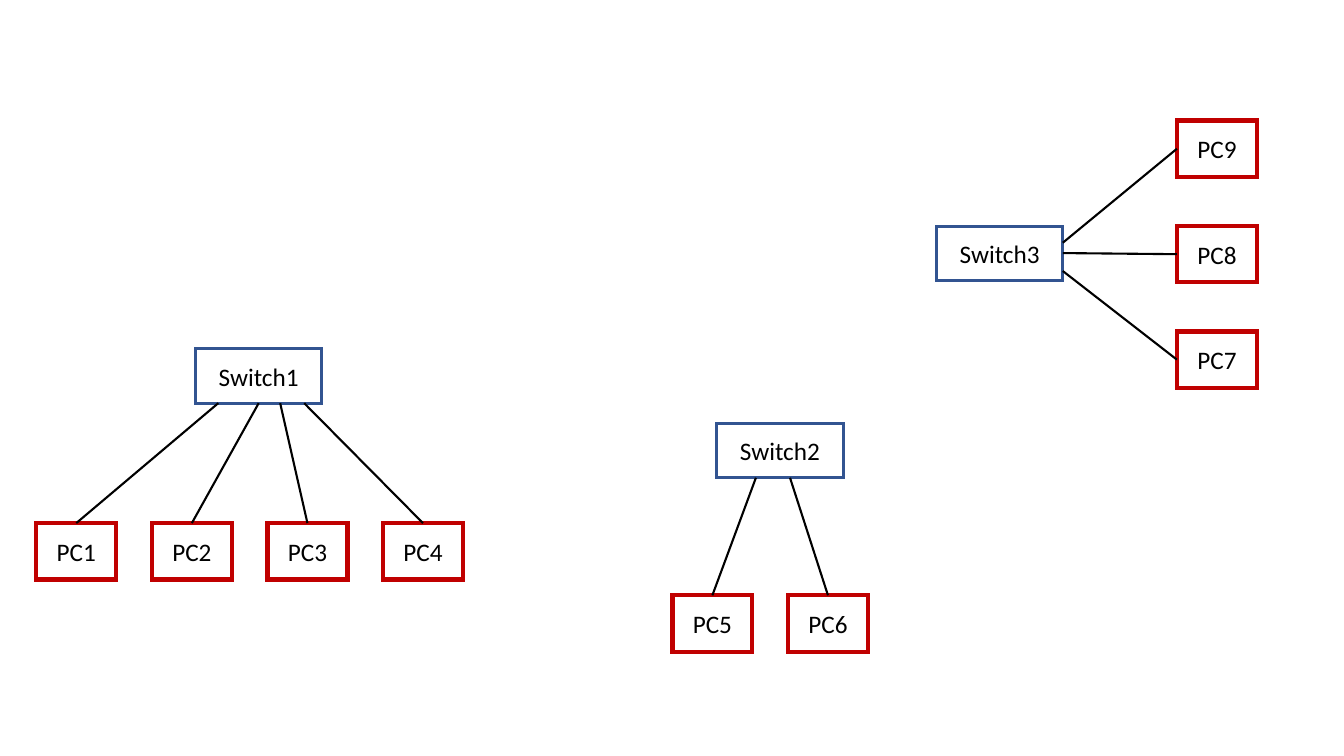
from dataclasses import dataclass

from lxml.etree import SubElement
from pptx import Presentation
from pptx.dml.color import RGBColor as Rgb
from pptx.enum.shapes import MSO_CONNECTOR as Line, MSO_SHAPE as Shape
from pptx.enum.text import MSO_ANCHOR as Anchor, PP_ALIGN as Align
from pptx.oxml.ns import qn
from pptx.util import Inches, Pt

WIDE, HIGH = Inches(13.33), Inches(7.5)


@dataclass(frozen=True)
class Theme:
    font: str = "Calibri"
    size: int = 18
    ink: str = "000000"
    paper: str = "FFFFFF"
    switch: str = "325491"
    host: str = "C00000"
    switch_line: float = 2.25
    host_line: float = 3
    link_line: float = 1.5


@dataclass(frozen=True)
class Group:
    """A switch and its PCs; ports are shares along the switch's edge."""
    name: str
    spot: tuple
    first: int
    start: tuple
    step: tuple
    ports: tuple
    side: bool = False


LOOK = Theme()

# Places and sizes are percentages of the slide's width and height.
SWITCH = (9.4, 7.2)
HOST = (5.95, 7.45)
GROUPS = (
    Group("Switch1", (14.55, 46.13), 1, (2.7, 69.2), (8.6, 0),
          (0.18, 0.5, 0.67, 0.86)),
    Group("Switch2", (53.33, 56), 5, (50.03, 78.75), (8.6, 0),
          (0.31, 0.58)),
    Group("Switch3", (69.68, 29.95), 7, (87.57, 43.85), (0, -13.95),
          (0.82, 0.49, 0.3), side=True),
)


def scale(x, y):
    """Turn percentages of the slide into lengths."""
    return round(WIDE * x / 100), round(HIGH * y / 100)


def add_box(slide, text, spot, size, color, weight):
    box = slide.shapes.add_shape(Shape.RECTANGLE, *scale(*spot), *scale(*size))
    box.shadow.inherit = False
    box.fill.solid()
    box.fill.fore_color.rgb = Rgb.from_string(LOOK.paper)
    box.line.color.rgb = Rgb.from_string(color)
    box.line.width = Pt(weight)
    SubElement(box.line._get_or_add_ln(), qn("a:miter"), lim="800000")
    frame = box.text_frame
    frame.vertical_anchor = Anchor.MIDDLE
    para = frame.paragraphs[0]
    para.alignment = Align.CENTER
    run = para.add_run()
    run.text = text
    run.font.name = LOOK.font
    run.font.size = Pt(LOOK.size)
    run.font.color.rgb = Rgb.from_string(LOOK.ink)
    return box


def add_link(slide, switch, host, port, side):
    """Join a port on the switch's right or lower edge to a PC."""
    if side:
        start = switch.left + switch.width, switch.top + round(switch.height * port)
        end = host.left, host.top + host.height // 2
    else:
        start = switch.left + round(switch.width * port), switch.top + switch.height
        end = host.left + host.width // 2, host.top
    link = slide.shapes.add_connector(Line.STRAIGHT, *start, *end)
    link.line.color.rgb = Rgb.from_string(LOOK.ink)
    link.line.width = Pt(LOOK.link_line)
    SubElement(link._element.spPr, qn("a:effectLst"))


def add_hosts(slide, group):
    left, top = group.start
    across, down = group.step
    return [
        add_box(slide, f"PC{group.first + i}",
                (left + i * across, top + i * down),
                HOST, LOOK.host, LOOK.host_line)
        for i in range(len(group.ports))
    ]


def main():
    deck = Presentation()
    deck.slide_width, deck.slide_height = WIDE, HIGH
    slide = deck.slides.add_slide(deck.slide_layouts[6])
    switches = [
        add_box(slide, group.name, group.spot, SWITCH,
                LOOK.switch, LOOK.switch_line)
        for group in GROUPS
    ]
    hosts = [add_hosts(slide, group) for group in GROUPS]
    for group, switch, row in zip(GROUPS, switches, hosts):
        for host, port in zip(row, group.ports):
            add_link(slide, switch, host, port, group.side)
    deck.save("out.pptx")


if __name__ == "__main__":
    main()
